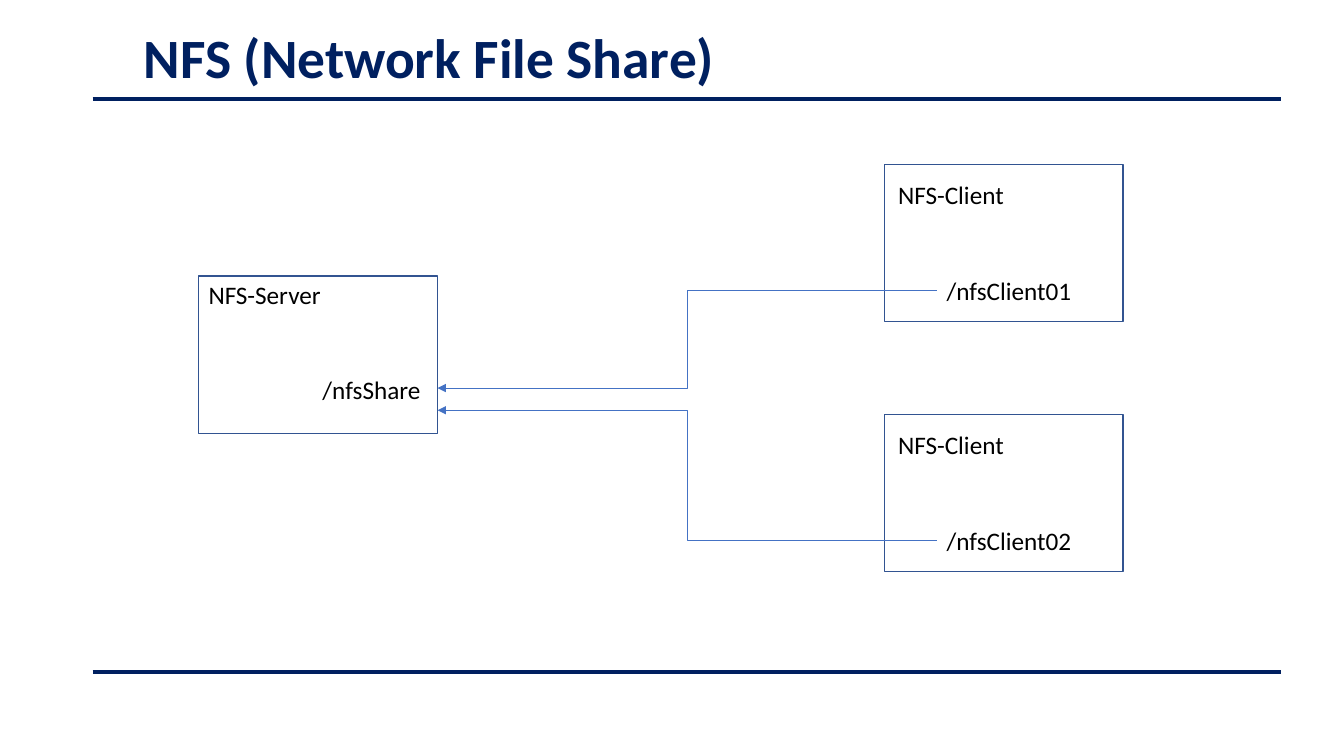
from pptx import Presentation
from pptx.dml.color import RGBColor
from pptx.enum import shapes, text
from pptx.oxml import ns
from pptx.util import Inches, Pt
from lxml import etree

NAVY = RGBColor(0x00, 0x20, 0x60)
BORDER = RGBColor(0x32, 0x54, 0x91)
BLUE = RGBColor(0x44, 0x72, 0xC4)
BLACK = RGBColor(0, 0, 0)

HOST_WIDTH, HOST_HEIGHT = 2.37, 1.56
LABEL_HEIGHT = 0.4
SERVER_LEFT, SERVER_TOP = 1.97, 2.74
CLIENT_LEFT = 8.77
CLIENTS = [("/nfsClient01", 1.63, 3.85), ("/nfsClient02", 4.11, 4.07)]


def add_text(page, words, left, top, width, height, size, color, bold=False, wrap=False):
    box = page.shapes.add_textbox(Inches(left), Inches(top), Inches(width), Inches(height))
    frame = box.text_frame
    frame.text = words
    frame.word_wrap = wrap
    para = frame.paragraphs[0]
    font = para.runs[0].font
    font.name = "Calibri"
    font.size = Pt(size)
    font.bold = bold
    font.color.rgb = color
    return box


def add_title(page, words):
    box = add_text(page, words, 1.33, 0.25, 10.66, 0.7, 39.6, NAVY, bold=True, wrap=True)
    box.text_frame.vertical_anchor = text.MSO_ANCHOR.MIDDLE
    box.text_frame.paragraphs[0].line_spacing = 0.9


def add_label(page, words, left, top, width):
    box = add_text(page, words, left, top, width, LABEL_HEIGHT, 18, BLACK)
    box.text_frame.auto_size = text.MSO_AUTO_SIZE.SHAPE_TO_FIT_TEXT


def add_host(page, left, top):
    host = page.shapes.add_shape(shapes.MSO_SHAPE.RECTANGLE, Inches(left), Inches(top),
                                 Inches(HOST_WIDTH), Inches(HOST_HEIGHT))
    host.shadow.inherit = False
    host.fill.background()
    host.line.color.rgb = BORDER
    host.line.width = Pt(1)


def add_line(page, kind, start, end, color, width):
    line = page.shapes.add_connector(kind, *map(Inches, start + end))
    line.line.color.rgb = color
    line.line.width = Pt(width)
    etree.SubElement(line._element.spPr, ns.qn("a:effectLst"))
    return line


def add_rule(page, top):
    add_line(page, shapes.MSO_CONNECTOR.STRAIGHT, (0.92, top), (12.71, top), NAVY, 3)


def add_mount(page, start, end):
    mount = add_line(page, shapes.MSO_CONNECTOR.ELBOW, start, end, BLUE, 0.5)
    etree.SubElement(mount.line._get_or_add_ln(), ns.qn("a:tailEnd"), type="triangle")


def add_server(page):
    add_host(page, SERVER_LEFT, SERVER_TOP)
    add_label(page, "NFS-Server", SERVER_LEFT, 2.72, 1.33)
    add_label(page, "/nfsShare", 3.1, 3.66, 1.18)


def add_client(page, folder, top, share_y):
    folder_left = CLIENT_LEFT + 0.52
    folder_top = top + 1.05
    add_host(page, CLIENT_LEFT, top)
    add_label(page, "NFS-Client", CLIENT_LEFT + 0.04, top + 0.1, 1.26)
    add_label(page, folder, folder_left, folder_top, 1.45)
    add_mount(page, (folder_left, folder_top + LABEL_HEIGHT / 2),
              (SERVER_LEFT + HOST_WIDTH, share_y))


def main():
    deck = Presentation()
    deck.slide_width, deck.slide_height = Inches(13.33), Inches(7.5)
    page = deck.slides.add_slide(deck.slide_layouts[6])
    add_title(page, "NFS (Network File Share)")
    for top in (0.98, 6.67):
        add_rule(page, top)
    add_server(page)
    for folder, top, share_y in CLIENTS:
        add_client(page, folder, top, share_y)
    deck.save("out.pptx")


if __name__ == "__main__":
    main()
